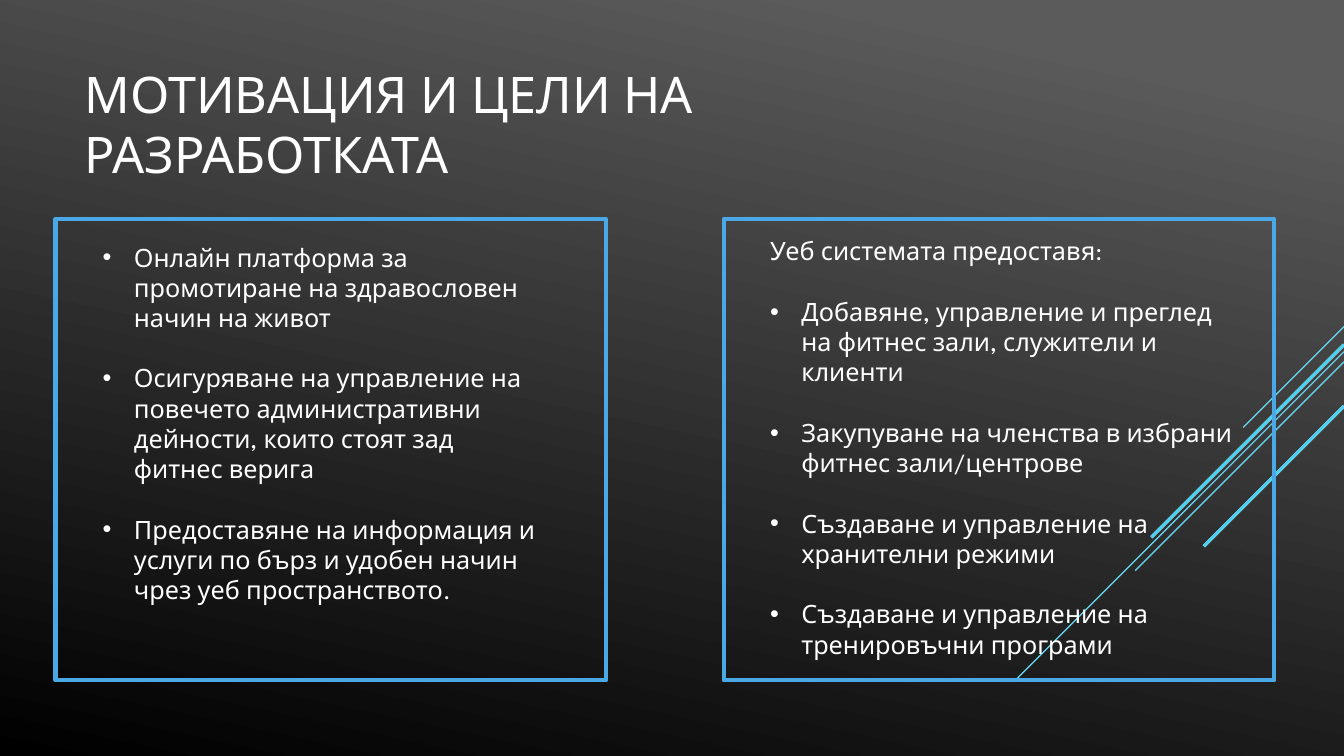
from lxml import etree
from pptx import Presentation, util as u
from pptx.dml.color import RGBColor
from pptx.enum import shapes, text
from pptx.oxml.ns import qn

TITLE = "МОТИВАЦИЯ И ЦЕЛИ НА РАЗРАБОТКАТА"
GOALS = [
    "Онлайн платформа за промотиране на здравословен начин на живот",
    "Осигуряване на управление на повечето административни дейности, които стоят зад фитнес верига",
    "Предоставяне на информация и услуги по бърз и удобен начин чрез уеб пространството.",
]
FEATURES_HEADING = "Уеб системата предоставя:"
FEATURES = [
    "Добавяне, управление и преглед на фитнес зали, служители и клиенти",
    "Закупуване на членства в избрани фитнес зали/центрове",
    "Създаване и управление на хранителни режими",
    "Създаване и управление на тренировъчни програми",
]
# Diagonals from the right edge: start height, run, width
DIAGONALS = [(3.24, 1.0, 0.75), (3.49, 3.26, 0.75), (3.59, 2.07, 0.75),
             (3.42, 1.91, 2.25), (4.03, 1.39, 2.25)]
SLIDE_WIDTH, SLIDE_HEIGHT = 13.33, 7.5


def colour(value):
    return RGBColor.from_string(value)


class SlideBuilder:
    font = "League Spartan"
    white, cyan, blue = "FFFFFF", "22C5ED", "4AA8E7"
    body_size = 18
    paragraph_gap = 21.6
    indent = 0.31

    def __init__(self, page):
        self.page = page

    def background(self, start, end, angle):
        fill = self.page.background.fill
        fill.gradient()
        fill.gradient_angle = 360 - angle
        for stop, position, value in zip(fill.gradient_stops, (0.1, 1), (start, end)):
            stop.position = position
            stop.color.rgb = colour(value)

    def format_font(self, font, size):
        font.name = self.font
        font.size = u.Pt(size)
        font.color.rgb = colour(self.white)

    def title(self, wording, left, top, width, height):
        box = self.page.shapes.title
        box.left, box.top = u.Inches(left), u.Inches(top)
        box.width, box.height = u.Inches(width), u.Inches(height)
        frame = box.text_frame
        frame.text = wording
        frame.vertical_anchor = text.MSO_ANCHOR.MIDDLE
        para = frame.paragraphs[0]
        para.alignment = text.PP_ALIGN.LEFT
        self.format_font(para.runs[0].font, 36)

    def diagonal(self, top, run, width, value, opacity=None):
        line = self.page.shapes.add_connector(
            shapes.MSO_CONNECTOR.STRAIGHT, u.Inches(SLIDE_WIDTH), u.Inches(top),
            u.Inches(SLIDE_WIDTH - run), u.Inches(top + run))
        line.line.width = u.Pt(width)
        line.line.color.rgb = colour(value)
        properties = line.element.spPr
        etree.SubElement(properties, qn("a:effectLst"))
        if opacity is not None:
            tint = properties.find(".//" + qn("a:srgbClr"))
            etree.SubElement(tint, qn("a:alpha")).set("val", str(opacity * 1000))

    def bullet(self, para):
        properties = para._p.get_or_add_pPr()
        properties.set("marL", str(u.Inches(self.indent)))
        properties.set("indent", str(-u.Inches(self.indent)))
        etree.SubElement(properties, qn("a:buFont")).set("typeface", "Arial")
        etree.SubElement(properties, qn("a:buChar")).set("char", "•")

    def text_list(self, left, top, width, height, items, heading=None):
        box = self.page.shapes.add_textbox(
            u.Inches(left), u.Inches(top), u.Inches(width), u.Inches(height))
        frame = box.text_frame
        frame.word_wrap = True
        wordings = [heading] + items if heading else items
        for index, wording in enumerate(wordings):
            para = frame.add_paragraph() if index else frame.paragraphs[0]
            para.text = wording
            if index:
                para.space_before = u.Pt(self.paragraph_gap)
            if wording != heading:
                self.bullet(para)
            self.format_font(para.runs[0].font, self.body_size)

    def panel(self, left):
        box = self.page.shapes.add_shape(
            shapes.MSO_SHAPE.RECTANGLE, u.Inches(left), u.Inches(2.17),
            u.Inches(5.46), u.Inches(4.58))
        box.shadow.inherit = False
        box.fill.background()
        box.line.color.rgb = colour(self.blue)
        box.line.width = u.Pt(3)


def main():
    deck = Presentation()
    deck.slide_width = u.Inches(SLIDE_WIDTH)
    deck.slide_height = u.Inches(SLIDE_HEIGHT)
    builder = SlideBuilder(deck.slides.add_slide(deck.slide_layouts[5]))

    # Background and title
    builder.background("5B5B5B", "000000", 102)
    builder.title(TITLE, 0.74, 0.4, 9.33, 1.65)

    # Diagonal accents: translucent cyan over white
    for value, opacity in ((builder.white, None), (builder.cyan, 80)):
        for top, run, width in DIAGONALS:
            builder.diagonal(top, run, width, value, opacity)

    # Motivation
    builder.text_list(0.92, 2.35, 4.57, 4.04, GOALS)
    builder.panel(0.55)

    # System features
    builder.text_list(7.54, 2.29, 4.9, 4.34, FEATURES, FEATURES_HEADING)
    builder.panel(7.18)

    deck.save("out.pptx")


if __name__ == "__main__":
    main()
